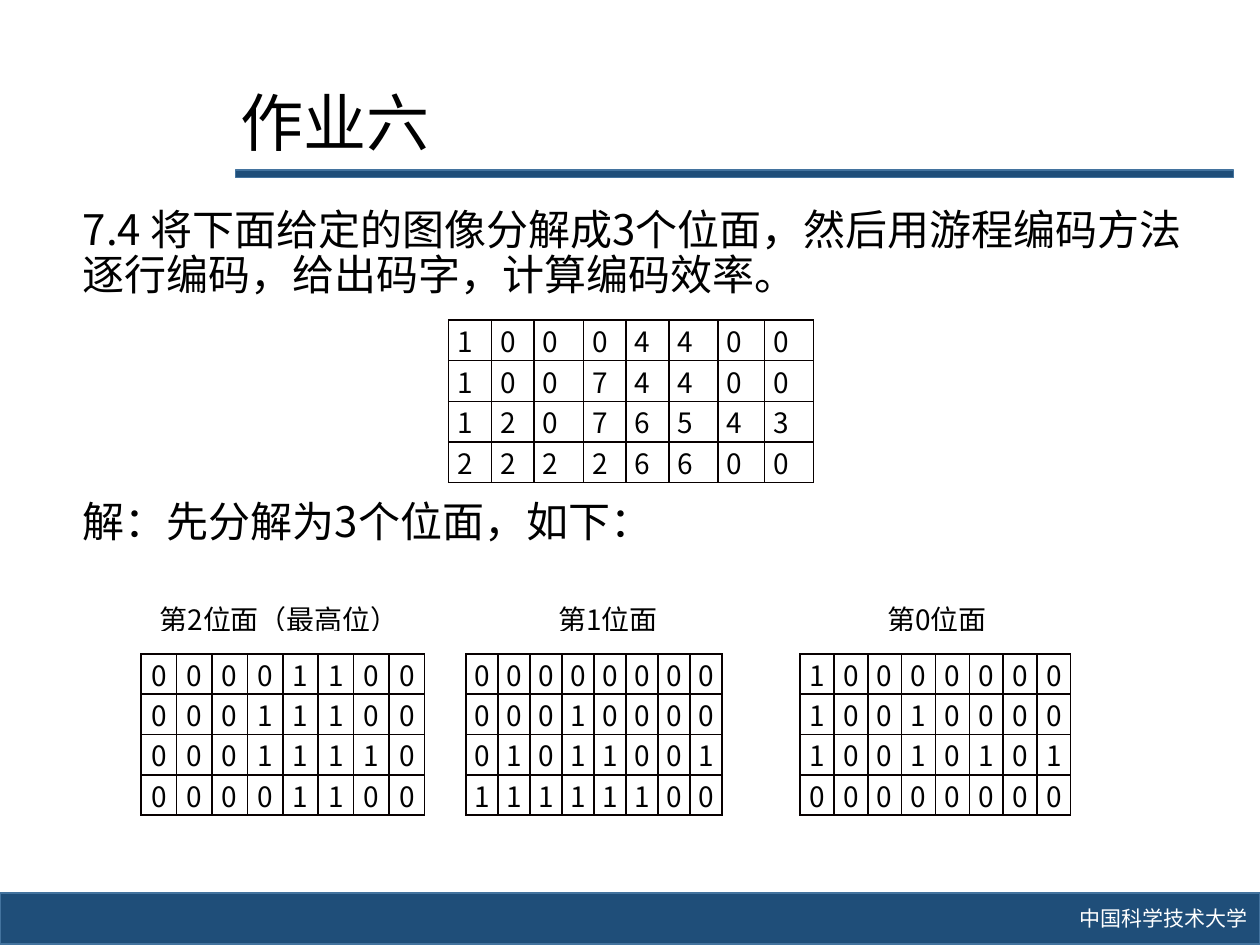
"""Build the homework slide on splitting an image into bit planes."""
import pptx
import pptx.dml.color
import pptx.enum.shapes
import pptx.enum.text
import pptx.oxml.ns
import pptx.util
from lxml import etree

Inches = pptx.util.Inches
Pt = pptx.util.Pt
ALIGN = pptx.enum.text.PP_ALIGN
ANCHOR = pptx.enum.text.MSO_ANCHOR
qn = pptx.oxml.ns.qn

FONT = "Noto Sans CJK SC"
BLACK = pptx.dml.color.RGBColor(0x00, 0x00, 0x00)
WHITE = pptx.dml.color.RGBColor(0xFF, 0xFF, 0xFF)
NAVY = pptx.dml.color.RGBColor(0x1F, 0x4E, 0x79)
EDGE = pptx.dml.color.RGBColor(0x43, 0x73, 0x9E)
BORDER = pptx.dml.color.RGBColor(0x08, 0x00, 0x00)

TITLE = "作业六"
QUESTION = "7.4 将下面给定的图像分解成3个位面，然后用游程编码方法逐行编码，给出码字，计算编码效率。"
ANSWER = "解：先分解为3个位面，如下："
SCHOOL = "中国科学技术大学"
CAPTIONS = [["第2位面（最高位）", "第1位面", "第0位面"], ["", "", ""]]
IMAGE = [
    [1, 0, 0, 0, 4, 4, 0, 0],
    [1, 0, 0, 7, 4, 4, 0, 0],
    [1, 2, 0, 7, 6, 5, 4, 3],
    [2, 2, 2, 2, 6, 6, 0, 0],
]
IMAGE_COLUMNS = [0.34, 0.34, 0.39, 0.34, 0.34, 0.39, 0.37, 0.39]
PLANES = [(2, 1.12, 2.25), (1, 3.7, 2.03), (0, 6.35, 2.15)]


def add_span(para, text, size, color=BLACK):
    span = para.add_run()
    span.text = text
    span.font.size = Pt(size)
    span.font.name = FONT
    span.font.color.rgb = color
    east_asian = etree.SubElement(span.font._element, qn("a:ea"))
    east_asian.set("typeface", FONT)


def add_box(page, left, top, width, height, anchor):
    box = page.shapes.add_textbox(*map(Inches, (left, top, width, height)))
    box.text_frame.word_wrap = True
    box.text_frame.vertical_anchor = anchor
    return box.text_frame


def add_bar(page, left, top, width, height):
    bar = page.shapes.add_shape(
        pptx.enum.shapes.MSO_SHAPE.RECTANGLE, *map(Inches, (left, top, width, height)))
    bar.shadow.inherit = False
    bar.fill.solid()
    bar.fill.fore_color.rgb = NAVY
    bar.line.color.rgb = EDGE
    bar.line.width = Pt(1)
    return bar


def add_borders(cell):
    properties = cell._tc.get_or_add_tcPr()
    for index, side in enumerate(("a:lnL", "a:lnR", "a:lnT", "a:lnB")):
        line = etree.Element(qn(side), w=str(Pt(1)))
        fill = etree.SubElement(line, qn("a:solidFill"))
        etree.SubElement(fill, qn("a:srgbClr"), val=str(BORDER))
        properties.insert(index, line)


def add_grid(page, left, top, columns, height, rows, align, anchor, bordered=True):
    frame = page.shapes.add_table(
        len(rows), len(columns), Inches(left), Inches(top),
        Inches(sum(columns)), Inches(height))
    table = frame.table
    table.first_row = table.horz_banding = False
    for column, width in zip(table.columns, columns):
        column.width = Inches(width)
    for row, values in zip(table.rows, rows):
        for cell, value in zip(row.cells, values):
            cell.margin_left = cell.margin_right = Inches(0.07)
            cell.margin_top = cell.margin_bottom = 0
            cell.vertical_anchor = anchor
            cell.fill.background()
            para = cell.text_frame.paragraphs[0]
            para.alignment = align
            if value != "":
                add_span(para, str(value), 16)
            if bordered:
                add_borders(cell)


def main():
    deck = pptx.Presentation()
    deck.slide_width, deck.slide_height = Inches(10), Inches(7.5)
    page = deck.slides.add_slide(deck.slide_layouts[6])

    footer = add_bar(page, 0, 7.09, 10, 0.4).text_frame
    footer.vertical_anchor = ANCHOR.MIDDLE
    footer.paragraphs[0].alignment = ALIGN.RIGHT
    add_span(footer.paragraphs[0], SCHOOL, 12, WHITE)
    add_bar(page, 1.87, 1.35, 7.92, 0.06)

    title = add_box(page, 1.81, 0.64, 7.98, 0.72, ANCHOR.MIDDLE).paragraphs[0]
    title.line_spacing = 0.9
    add_span(title, TITLE, 36)

    body = add_box(page, 0.56, 1.61, 9.12, 5.36, ANCHOR.TOP)
    question, answer = body.paragraphs[0], body.add_paragraph()
    answer.space_before = Pt(115)
    for para, text in ((question, QUESTION), (answer, ANSWER)):
        para.line_spacing = 0.9
        add_span(para, text, 24)

    add_grid(page, 3.56, 2.54, IMAGE_COLUMNS, 1.29, IMAGE, ALIGN.LEFT, ANCHOR.TOP)
    add_grid(page, 0.91, 4.75, [2.61] * 3, 0.43, CAPTIONS, ALIGN.CENTER, ANCHOR.TOP, False)
    for bit, left, width in PLANES:
        plane = [[value >> bit & 1 for value in row] for row in IMAGE]
        columns = [width / len(IMAGE[0])] * len(IMAGE[0])
        add_grid(page, left, 5.19, columns, 1.28, plane, ALIGN.CENTER, ANCHOR.MIDDLE)

    deck.save("out.pptx")


if __name__ == "__main__":
    main()
